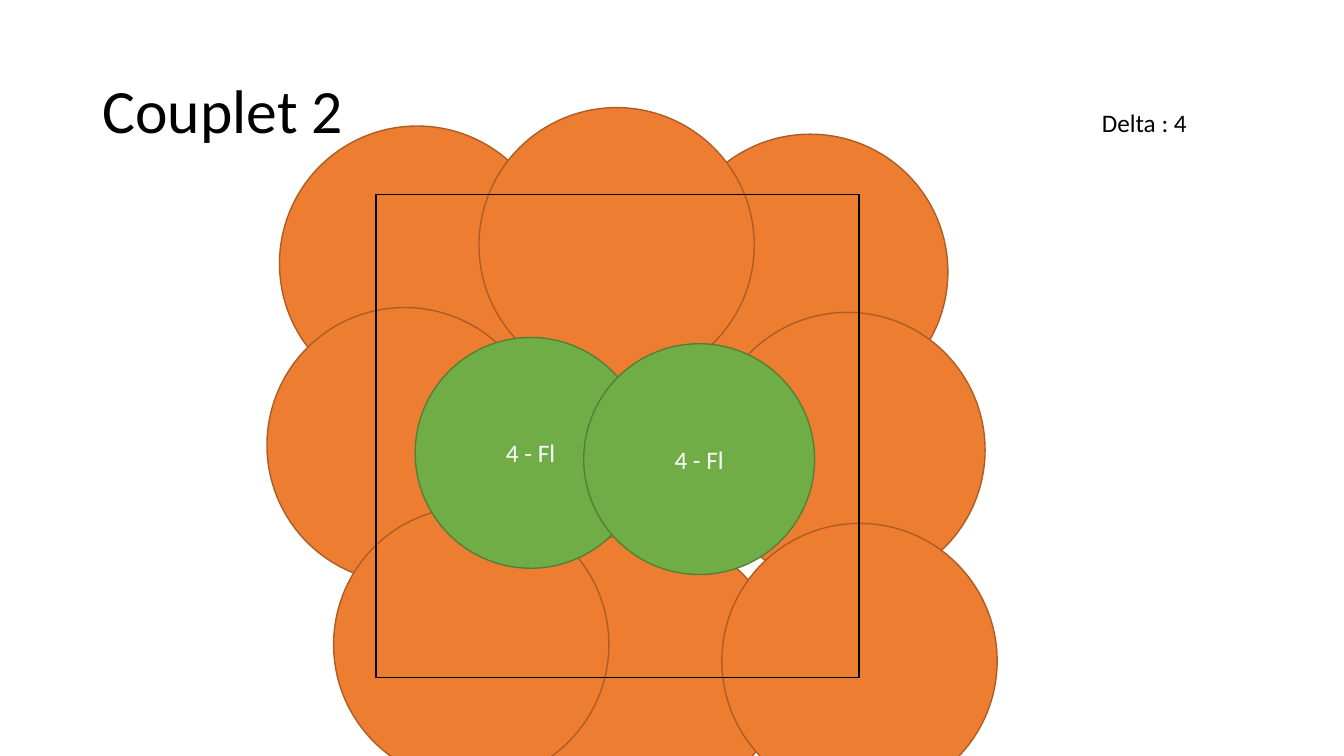
from pptx import Presentation
from pptx.dml.color import RGBColor as Rgb
from pptx.enum.shapes import MSO_SHAPE as Shape
from pptx.enum.text import MSO_ANCHOR as Anchor, PP_ALIGN as Align
from pptx.util import Inches, Pt

COLORS = {
    "orange": "ED7D31", "orange_edge": "AF5C24",
    "green": "70AD47", "green_edge": "538035",
    "black": "000000", "white": "FFFFFF",
}
WIDTH, HEIGHT = 13.33, 7.5
FIELD = (3.73, 1.93, 4.79)  # left, top, side

# Circle centres in percent of the field's side, from back to front
ORANGE_CENTRES = [
    (55.6, 98.6), (8.5, 14.3), (89.9, 16), (5.9, 51.9),
    (49.8, 10.5), (19.7, 93.2), (97.6, 52.9), (100.1, 96.6),
]
GREEN_CENTRES = [(32, 53.5), (66.9, 54.8)]
ORANGE_SIZE, GREEN_SIZE = 57, 47.8


def color(name):
    return Rgb.from_string(COLORS[name])


def write(frame, words, size, ink, **layout):
    frame.word_wrap = True
    for name, value in layout.items():
        setattr(frame, name, value)
    paragraph = frame.paragraphs[0]
    paragraph.text = words
    for name, value in {"size": Pt(size), "name": "Calibri"}.items():
        setattr(paragraph.font, name, value)
    paragraph.font.color.rgb = color(ink)
    return paragraph


def outlined(slide, kind, box, edge, fill=None):
    figure = slide.shapes.add_shape(kind, *map(Inches, box))
    figure.shadow.inherit = False
    if fill:
        figure.fill.solid()
        figure.fill.fore_color.rgb = color(fill)
    else:
        figure.fill.background()
    figure.line.color.rgb = color(edge)
    figure.line.width = Pt(1)
    return figure


def circles(slide, field, centres, size, fill, label=None):
    left, top, side = field
    unit = side / 100
    for x, y in centres:
        box = (left + (x - size / 2) * unit, top + (y - size / 2) * unit,
               size * unit, size * unit)
        circle = outlined(slide, Shape.OVAL, box, fill + "_edge", fill)
        if label:
            words = write(circle.text_frame, label, 18, "white",
                          vertical_anchor=Anchor.MIDDLE)
            words.alignment = Align.CENTER


def heading(slide, box, words, size, **layout):
    text_box = slide.shapes.add_textbox(*map(Inches, box))
    return write(text_box.text_frame, words, size, "black", **layout)


def couplet_slide(deck):
    slide = deck.slides.add_slide(deck.slide_layouts[6])
    left, top, side = FIELD

    # Surrounding circles and the square field
    circles(slide, FIELD, ORANGE_CENTRES, ORANGE_SIZE, "orange")
    outlined(slide, Shape.RECTANGLE, (left, top, side, side), "black")

    # Title and delta
    title = heading(slide, (0.92, 0.4, 11.5, 1.45), "Couplet 2", 44,
                    vertical_anchor=Anchor.MIDDLE)
    title.line_spacing = 0.9
    delta_left = 10.83
    heading(slide, (delta_left, 1.02, WIDTH - delta_left, 0.4), "Delta : 4", 18)

    # Labelled couplet in front
    circles(slide, FIELD, GREEN_CENTRES, GREEN_SIZE, "green", "4 - Fl")


def main():
    deck = Presentation()
    deck.slide_width, deck.slide_height = Inches(WIDTH), Inches(HEIGHT)
    couplet_slide(deck)
    deck.save("out.pptx")


if __name__ == "__main__":
    main()
